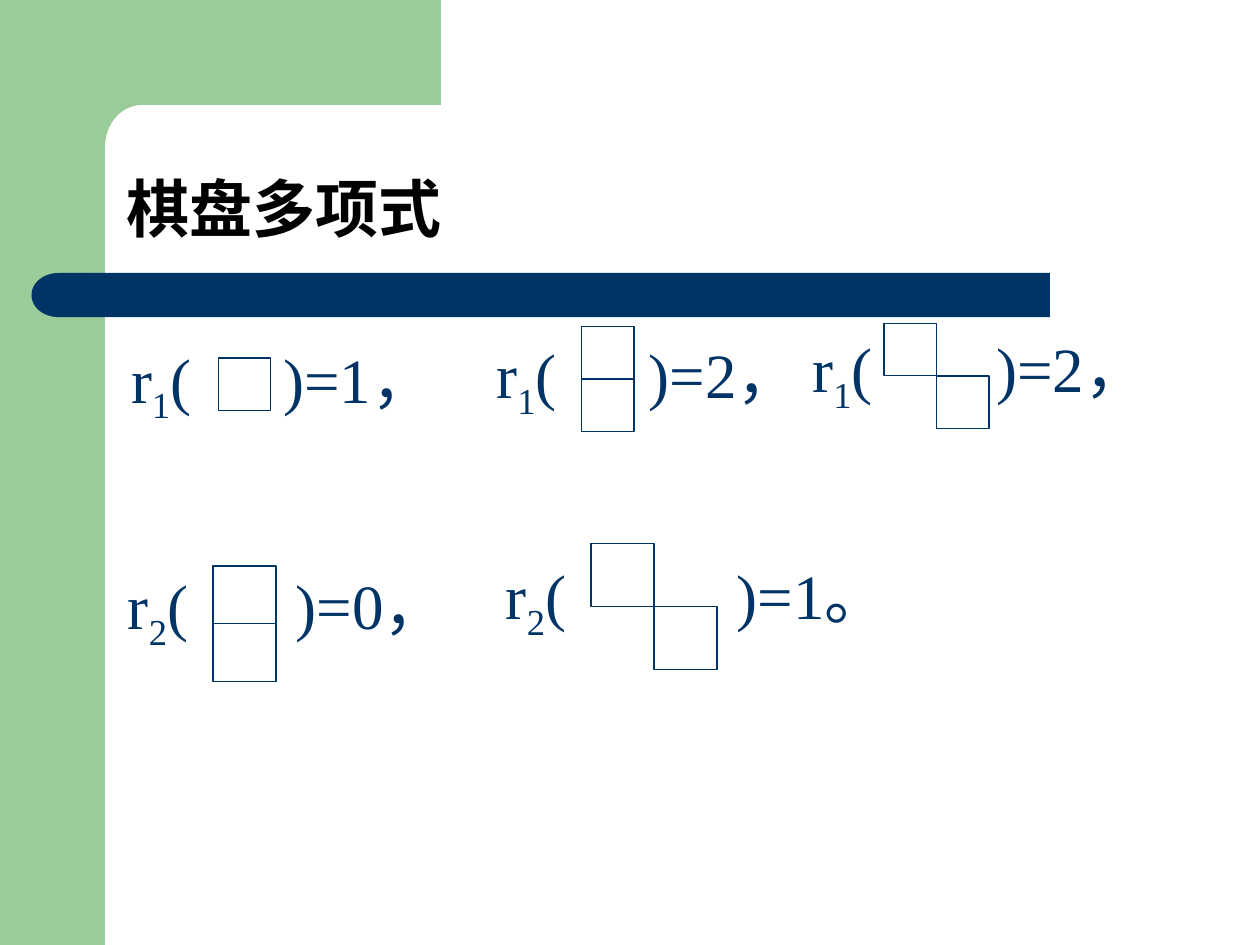
from math import cos, pi, sin

from lxml.etree import SubElement
from pptx import Presentation
from pptx.dml.color import RGBColor
from pptx.enum.shapes import MSO_CONNECTOR as Connector, MSO_SHAPE as Shape
from pptx.enum.text import MSO_ANCHOR as Anchor
from pptx.oxml.ns import qn
from pptx.util import Inches, Pt

COLUMNS, ROWS = 120, 90
GREEN, NAVY, BLACK = "99CC99", "003366", "000000"


def grid(*units):
    return [Inches(unit * 10 / COLUMNS) for unit in units]


def color(hex_string):
    return RGBColor.from_string(hex_string)


def paint(shape, fill=None, line=None):
    shape.shadow.inherit = False
    if fill:
        shape.fill.solid()
        shape.fill.fore_color.rgb = color(fill)
    else:
        shape.fill.background()
    if line:
        shape.line.color.rgb = color(line)
        shape.line.width = Pt(0.75)
    else:
        shape.line.fill.background()


def add_block(slide, kind, box, fill=None, line=None):
    block = slide.shapes.add_shape(kind, *grid(*box))
    paint(block, fill, line)
    return block


def add_text(slide, box, runs, font, hex_string, bold=False, anchor=Anchor.TOP):
    frame = slide.shapes.add_textbox(*grid(*box)).text_frame
    frame.word_wrap = True
    frame.vertical_anchor = anchor
    paragraph = frame.paragraphs[0]
    for words, baseline in runs:
        run = paragraph.add_run()
        run.text = words
        run.font.name = font
        run.font.size = Pt(36)
        run.font.bold = bold
        run.font.color.rgb = color(hex_string)
        if baseline:
            run.font._element.set("baseline", str(baseline))
    return paragraph


def draw_frame(slide, box):
    left, top, width, height = box
    side = 10
    add_block(slide, Shape.RECTANGLE, (left, top, side, height), GREEN)
    across, down, steps = 3.5, 4, 12
    angles = [pi / 2 * step / steps for step in range(steps + 1)]
    curve = [(left + side + across * (1 - sin(a)), top + side + down * (1 - cos(a)))
             for a in angles]
    outline = [(left + 42, top), (left + 42, top + side), *curve,
               (left + side, top + 15.2), (left + 6, top + 15.2), (left + 6, top)]
    points = [tuple(grid(*point)) for point in outline]
    builder = slide.shapes.build_freeform(*points[0], scale=1.0)
    builder.add_line_segments(points[1:], close=True)
    paint(builder.convert_to_shape(), GREEN)


def draw_bar(slide, box):
    left, top, width, height = box
    cap = 5
    add_block(slide, Shape.RECTANGLE, (left + cap, top, width - cap, height), NAVY)
    end = add_block(slide, Shape.FLOWCHART_DELAY, (left, top, cap + 0.1, height), NAVY)
    end.rotation = 180


def draw_title(slide, box):
    title = add_text(slide, box, [("棋盘多项式", 0)], "Arial", BLACK, True, Anchor.BOTTOM)
    title.line_spacing = 0.9


def draw_single(slide, box):
    add_block(slide, Shape.RECTANGLE, box, line=NAVY)


def draw_domino(slide, box):
    left, top, width, height = box
    domino = add_block(slide, Shape.RECTANGLE, box, line=NAVY)
    middle = top + height / 2
    divider = slide.shapes.add_connector(
        Connector.STRAIGHT, *grid(left, middle, left + width, middle))
    divider.begin_connect(domino, 1)
    divider.end_connect(domino, 3)
    divider.line.color.rgb = color(NAVY)
    divider.line.width = Pt(0.75)
    SubElement(divider._element.spPr, qn("a:effectLst"))


def draw_diagonal(slide, box):
    left, top, width, height = box
    for step in (0, 0.5):
        draw_single(slide, (left + step * width, top + step * height,
                            width / 2, height / 2))


def draw_formula(slide, corner, order, value, gap, draw_board, board):
    width = 23.9 + gap
    formula = add_text(slide, (*corner, width, 9.5),
                       [("r", 0), (order, -25000), (f"(\t)={value}", 0)],
                       "Times New Roman", NAVY)
    stops = SubElement(formula._p.get_or_add_pPr(), qn("a:tabLst"))
    SubElement(stops, qn("a:tab"), pos=str(grid(5.5 + gap)[0]), algn="l")
    draw_board(slide, board)


FORMULAS = [
    ((11.3, 31.8), "1", "1，", 9, draw_single, (20.8, 34.1, 5, 5)),
    ((46.1, 31.4), "1", "2，", 9, draw_domino, (55.4, 31.1, 5, 10)),
    ((76.2, 30.8), "1", "2，", 12, draw_diagonal, (84.2, 30.8, 10, 10)),
    ((11, 53.4), "2", "0，", 10.5, draw_domino, (20.3, 53.9, 6, 11)),
    ((47, 52.4), "2", "1。", 16.5, draw_diagonal, (56.3, 51.8, 12, 12)),
]


def main():
    deck = Presentation()
    deck.slide_width, deck.slide_height = grid(COLUMNS, ROWS)
    slide = deck.slides.add_slide(deck.slide_layouts[6])
    draw_frame(slide, (0, 0, COLUMNS, ROWS))
    draw_bar(slide, (3, 26, 97, 4.2))
    draw_title(slide, (10.9, 10.9, 102.1, 13.1))
    for formula in FORMULAS:
        draw_formula(slide, *formula)
    deck.save("out.pptx")


if __name__ == "__main__":
    main()
